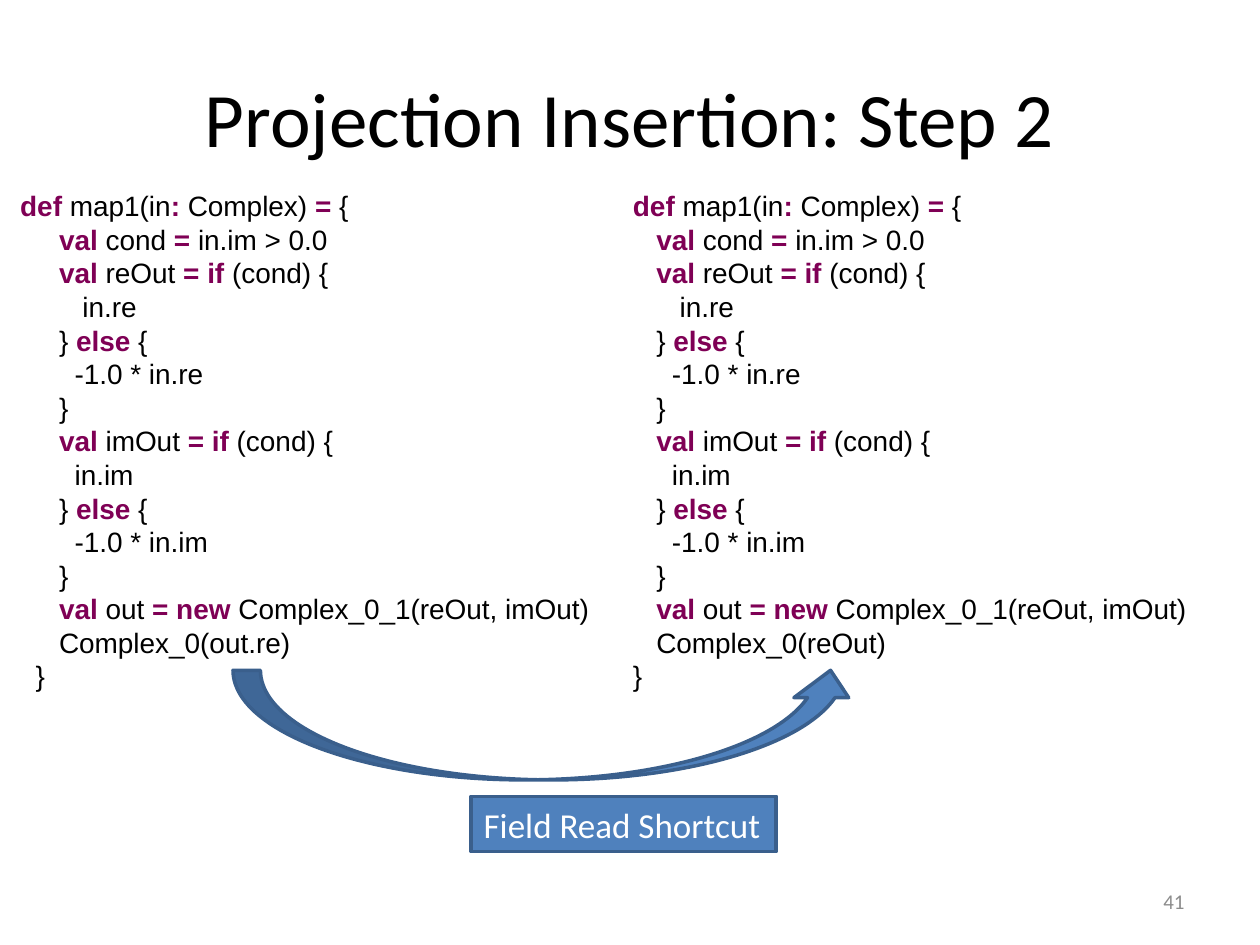
from pptx import Presentation
from pptx.dml.color import RGBColor
from pptx.enum.shapes import MSO_SHAPE as Shape
from pptx.enum.text import MSO_ANCHOR as Anchor, PP_ALIGN as Align
from pptx.util import Inches, Pt

SPACE = 0.0617  # width of one code space, in inches
KEYWORD = "7F0055"

prs = Presentation()
prs.slide_width, prs.slide_height = Inches(10), Inches(7.5)
slide = prs.slides.add_slide(prs.slide_layouts[6])


def color(hex_value):
    return RGBColor.from_string(hex_value)


def style(paragraph, size, font, hex_value, align=Align.LEFT):
    paragraph.alignment = align
    paragraph.font.size = Pt(size)
    paragraph.font.name = font
    paragraph.font.color.rgb = color(hex_value)


# Title and slide number
for text, box, size, hex_value, align in [
    ("Projection Insertion: Step 2", (0.5, 0.3, 9, 1.25), 44, "000000", Align.CENTER),
    ("41", (7.17, 6.95, 2.33, 0.4), 12, "8C8C8C", Align.RIGHT),
]:
    frame = slide.shapes.add_textbox(*map(Inches, box)).text_frame
    frame.word_wrap = True
    frame.vertical_anchor = Anchor.MIDDLE
    frame.text = text
    style(frame.paragraphs[0], size, "Calibri", hex_value, align)

# Code before and after: (indent in spaces, text), keywords between bars
body = [
    (6, "|val| cond |=| in.im > 0.0"),
    (6, "|val| reOut |= if| (cond) {"),
    (9, "in.re"),
    (6, "} |else| {"),
    (8, "-1.0 * in.re"),
    (6, "}"),
    (6, "|val| imOut |= if| (cond) {"),
    (8, "in.im"),
    (6, "} |else| {"),
    (8, "-1.0 * in.im"),
    (6, "}"),
    (6, "|val| out |= new| Complex_0_1(reOut, imOut)"),
]
for left, first_indent, result in [(0, 1, "out.re"), (4.74, 3, "reOut")]:
    lines = [
        (first_indent, "|def| map1(in|:| Complex) |=| {"),
        *body,
        (6, f"Complex_0({result})"),
        (3, "}"),
    ]
    code = slide.shapes.add_textbox(Inches(left), Inches(1.45), Inches(4.85), Inches(4.14))
    frame = code.text_frame
    frame.word_wrap = True
    for number, (indent, text) in enumerate(lines):
        line = frame.add_paragraph() if number else frame.paragraphs[0]
        style(line, 16, "Arial", "000000")
        line.line_spacing = Pt(19.2)
        line._p.get_or_add_pPr().set("marL", str(Inches(indent * SPACE)))
        for position, part in enumerate(text.split("|")):
            if not part:
                continue
            run = line.add_run()
            run.text = part
            if position % 2:
                run.font.bold = True
                run.font.color.rgb = color(KEYWORD)

# Arrow from the old result to the new one, and its label
arrow = slide.shapes.add_shape(
    Shape.CURVED_UP_ARROW, Inches(1.85), Inches(5.32), Inches(4.96), Inches(0.87))
label = slide.shapes.add_shape(
    Shape.RECTANGLE, Inches(3.74), Inches(6.32), Inches(2.42), Inches(0.44))
for part in (arrow, label):
    part.shadow.inherit = False
    part.fill.solid()
    part.fill.fore_color.rgb = color("4F81BD")
    part.line.color.rgb = color("3A5F8C")
    part.line.width = Pt(2)

label.text_frame.word_wrap = False
label.text_frame.text = "Field Read Shortcut"
style(label.text_frame.paragraphs[0], 20, "Calibri", "FFFFFF")

prs.save("out.pptx")
